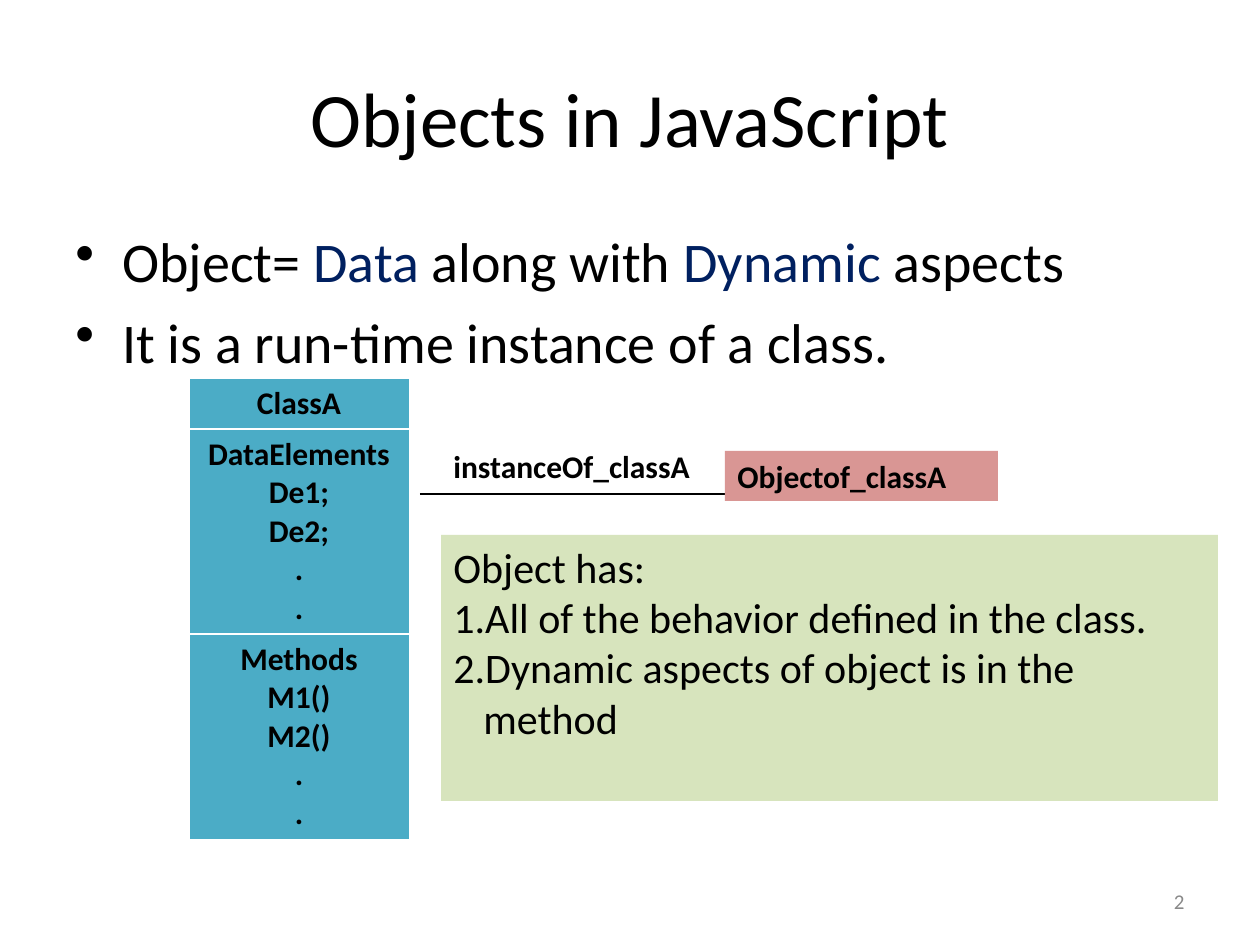
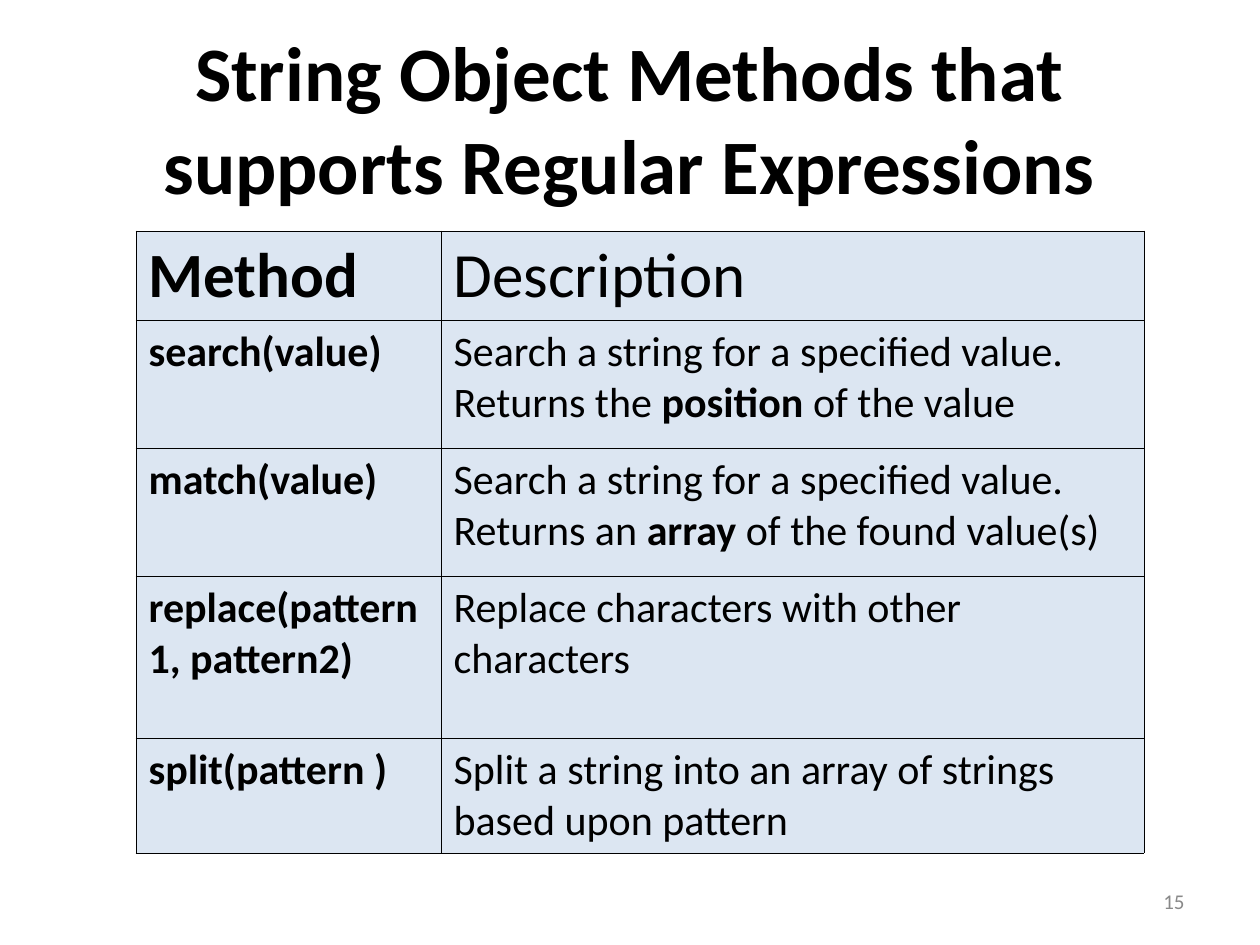
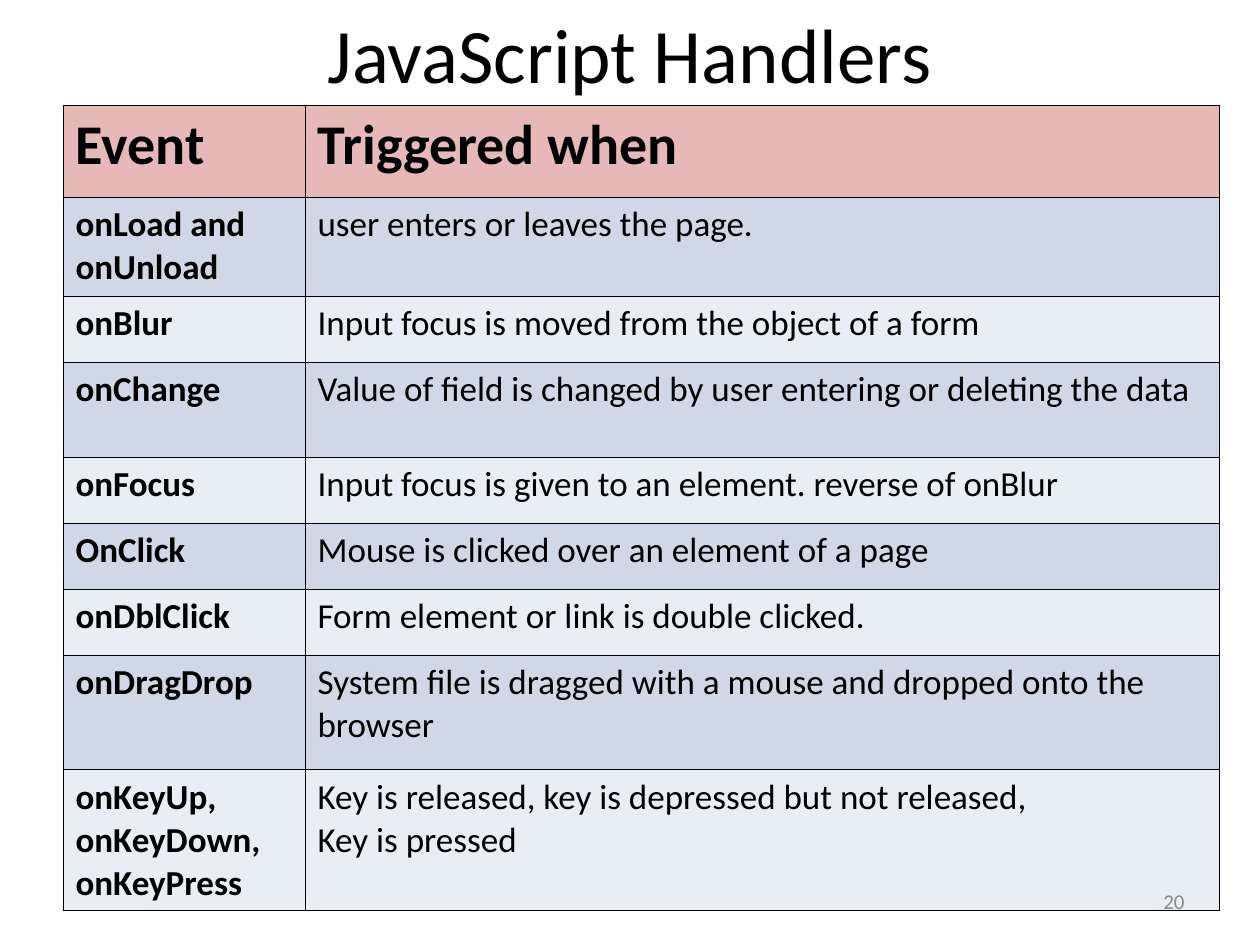
from lxml.etree import SubElement
from pptx import Presentation
from pptx.dml.color import RGBColor
from pptx.enum.shapes import MSO_CONNECTOR, MSO_SHAPE
from pptx.enum.text import MSO_ANCHOR, PP_ALIGN
from pptx.oxml.ns import qn
from pptx.util import Emu, Pt

FONT = "Calibri"
COLORS = {
    "black": "000000", "white": "FFFFFF", "navy": "002060", "gray": "898989",
    "teal": "4BACC6", "rose": "D99694", "green": "D7E4BD", "ice": "DCE6F2",
    "pink": "E6B9B8", "blue": "D0D8E8", "pale": "E9EDF4",
}
LEFT, CENTER, RIGHT = PP_ALIGN.LEFT, PP_ALIGN.CENTER, PP_ALIGN.RIGHT
TOP, MIDDLE = MSO_ANCHOR.TOP, MSO_ANCHOR.MIDDLE
THIN = 0.45


def px(count):
    return Emu(round(count * 914400 / 126))


def rgb(name):
    return RGBColor.from_string(COLORS[name])


def mark(para, tag, hang, **attrs):
    """Give a paragraph a bullet or number with a hanging indent."""
    props = para._p.get_or_add_pPr()
    props.set("marL", str(px(hang)))
    props.set("indent", str(-px(hang)))
    SubElement(props, qn(tag), **attrs)


def edge(cell, side, color, width):
    line = SubElement(cell._tc.get_or_add_tcPr(), qn("a:ln" + side), w=str(Pt(width)))
    fill = SubElement(line, qn("a:solidFill"))
    SubElement(fill, qn("a:srgbClr"), val=COLORS[color])


class Deck:
    def __init__(self):
        self.file = Presentation()
        self.file.slide_width, self.file.slide_height = px(1260), px(945)
        self.slide = None

    def start(self, title, top=38, high=158, bold=False):
        self.slide = self.file.slides.add_slide(self.file.slide_layouts[6])
        self.text(63, top, 1134, high, title, 44, bold=bold, align=CENTER, anchor=MIDDLE)

    def put(self, frame, text, size, color="black", bold=False, align=LEFT, hot=None, marks=None):
        """Set one paragraph per line; parts between asterisks turn bold or take the hot color.

        marks maps a line's index to the arguments of its bullet or number.
        """
        for i, line in enumerate(text.split("\n")):
            para = frame.add_paragraph() if i else frame.paragraphs[0]
            if marks and i in marks:
                tag, hang, attrs = marks[i]
                mark(para, tag, hang, **attrs)
            para.alignment = align
            font = para.font
            font.name, font.size, font.bold = FONT, Pt(size), bold
            font.color.rgb = rgb(color)
            for j, part in enumerate(line.split("*")):
                run = para.add_run()
                run.text = part
                if j % 2 and hot:
                    run.font.color.rgb = rgb(hot)
                elif j % 2:
                    run.font.bold = True

    def text(self, x, y, wide, high, text, size, anchor=TOP, **style):
        box = self.slide.shapes.add_textbox(px(x), px(y), px(wide), px(high))
        frame = box.text_frame
        frame.word_wrap, frame.vertical_anchor = True, anchor
        self.put(frame, text, size, **style)
        return frame

    def box(self, x, y, wide, high, fill, text, size, **style):
        shape = self.slide.shapes.add_shape(
            MSO_SHAPE.RECTANGLE, px(x), px(y), px(wide), px(high))
        shape.shadow.inherit = False
        shape.fill.solid()
        shape.fill.fore_color.rgb = rgb(fill)
        shape.line.fill.background()
        frame = shape.text_frame
        frame.word_wrap, frame.vertical_anchor = True, TOP
        self.put(frame, text, size, **style)

    def line(self, x1, y1, x2, y2):
        link = self.slide.shapes.add_connector(
            MSO_CONNECTOR.STRAIGHT, px(x1), px(y1), px(x2), px(y2))
        link.line.color.rgb, link.line.width = rgb("black"), Pt(0.75)
        SubElement(link._element.spPr, qn("a:effectLst"))

    def table(self, x, y, wides, highs, rows, fills, sizes, rim="black",
              inner=THIN, anchor=TOP, align=LEFT, head=False):
        """Draw a table with a bold first column, and a bold first row if head is set."""
        grid = self.slide.shapes.add_table(
            len(rows), len(wides), px(x), px(y), px(sum(wides)), px(sum(highs))).table
        grid.first_row = grid.horz_banding = False
        for col, wide in zip(grid.columns, wides):
            col.width = px(wide)
        for r, (row, high) in enumerate(zip(rows, highs)):
            grid.rows[r].height = px(high)
            for c, text in enumerate(row):
                cell = grid.cell(r, c)
                edge(cell, "L", rim, THIN)
                edge(cell, "R", rim, THIN)
                edge(cell, "T", rim, inner if r else THIN)
                edge(cell, "B", rim, inner if r < len(rows) - 1 else THIN)
                cell.fill.solid()
                cell.fill.fore_color.rgb = rgb(fills[r])
                cell.vertical_anchor = anchor
                self.put(cell.text_frame, text, sizes[min(r, 1)],
                         bold=c == 0 or (head and r == 0), align=align)

    def number(self, value):
        self.text(903, 876, 294, 50, str(value), 12, color="gray", align=RIGHT, anchor=MIDDLE)


def objects(deck):
    deck.start("Objects in JavaScript")
    dot = ("a:buChar", 47, {"char": "•"})
    body = deck.text(
        63, 220, 1134, 624,
        "Object= *Data* along with *Dynamic* aspects\nIt is a run-time instance of a class.",
        32, hot="navy", marks={0: dot, 1: dot})
    body.paragraphs[1].space_before = Pt(8)
    parts = [["ClassA"], ["DataElements\nDe1;\nDe2;\n.\n."], ["Methods\nM1()\nM2()\n.\n."]]
    deck.table(189, 378, [220], [51, 205, 205], parts, ["teal"] * 3, (18, 18),
               rim="white", inner=1.47, anchor=MIDDLE, align=CENTER)
    deck.line(420, 494, 735, 494)
    deck.box(725, 451, 273, 50, "rose", "Objectof_classA", 18, bold=True)
    deck.text(441, 441, 273, 50, "instanceOf_classA", 18, bold=True)
    count = ("a:buAutoNum", 30, {"type": "arabicPeriod"})
    deck.box(
        441, 535, 777, 266, "green",
        "Object has:\nAll of the behavior defined in the class.\n"
        "Dynamic aspects of object is in the method", 24, marks={1: count, 2: count})
    deck.number(2)


def methods(deck):
    deck.start("String Object Methods that supports Regular Expressions", bold=True)
    rows = [
        ("Method", "Description"),
        ("search(value)",
         "Search a string for a specified value. Returns the *position* of the value"),
        ("match(value)",
         "Search a string for a specified value. Returns an *array* of the found value(s)"),
        ("replace(pattern1, pattern2)", "Replace characters with other characters"),
        ("split(pattern )", "Split a string into an array of strings based upon pattern"),
    ]
    deck.table(136, 231, [305, 703], [89, 128, 128, 162, 115], rows,
               ["ice"] * len(rows), (36, 24))
    deck.number(15)


def events(deck):
    deck.start("JavaScript Handlers", top=0, high=105)
    rows = [
        ("Event", "Triggered when"),
        ("onLoad and onUnload", "user enters or leaves the page."),
        ("onBlur", "Input focus is moved from the object of a form"),
        ("onChange", "Value of field is changed by user entering or deleting the data"),
        ("onFocus", "Input focus is given to an element. reverse of onBlur"),
        ("OnClick", "Mouse is clicked over an element of a page"),
        ("onDblClick", "Form element or link is double clicked."),
        ("onDragDrop", "System file is dragged with a mouse and dropped onto the browser"),
        ("onKeyUp, onKeyDown, onKeyPress",
         "Key is released, key is depressed but not released,\nKey is pressed"),
    ]
    deck.table(63, 105, [242, 914], [92, 99, 66, 95, 66, 66, 66, 115, 141], rows,
               ["pink"] + ["blue", "pale"] * 4, (32, 20), head=True)
    deck.number(20)


def main():
    deck = Deck()
    for draw in (objects, methods, events):
        draw(deck)
    deck.file.save("out.pptx")


if __name__ == "__main__":
    main()
